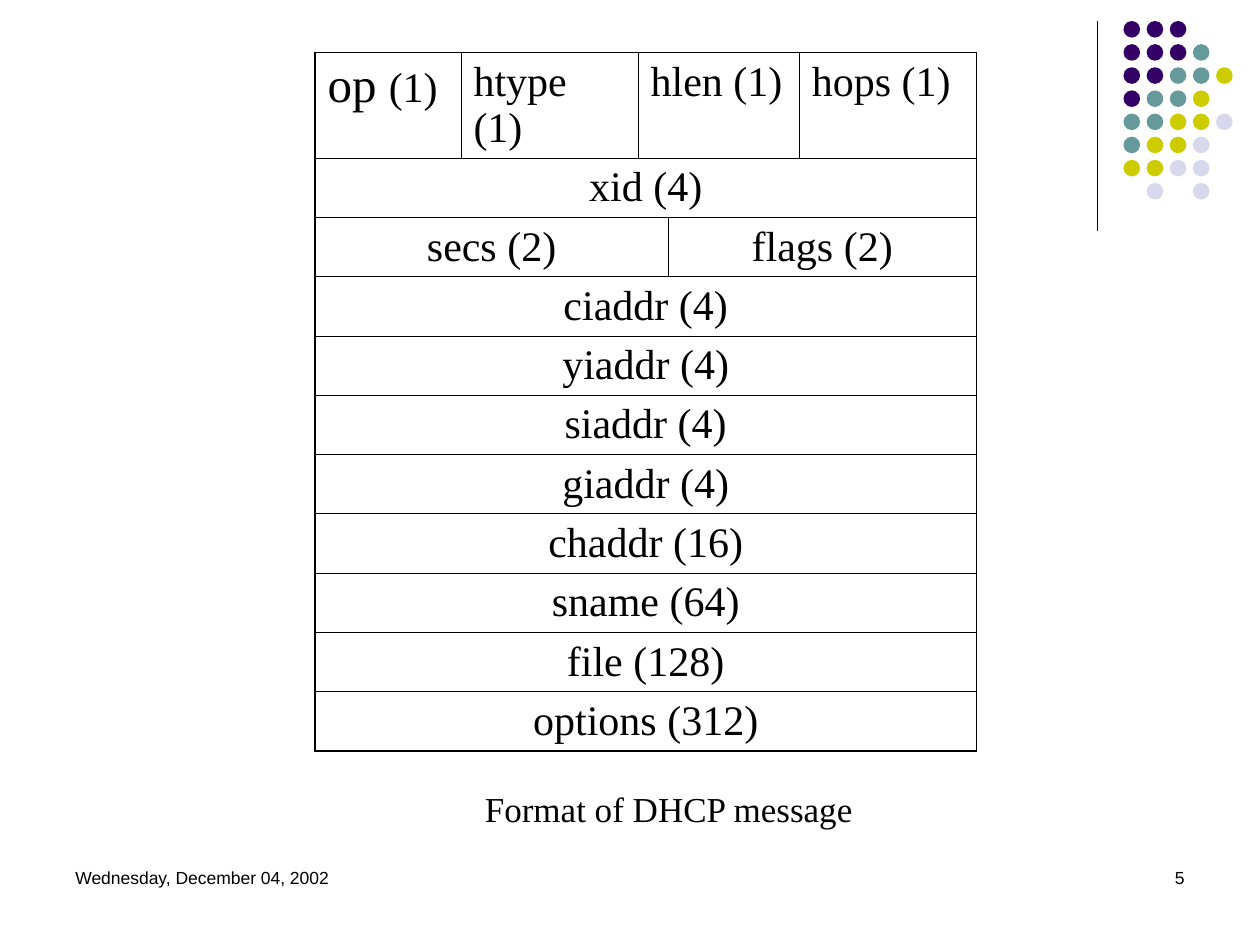
import pptx
import pptx.dml.color
import pptx.enum.shapes
import pptx.enum.text
import pptx.oxml
import pptx.oxml.ns
import pptx.util
import lxml.etree

Pt = pptx.util.Pt
ALIGN = pptx.enum.text.PP_ALIGN
BLACK = "000000"
SERIF = "Times New Roman"
THIN, THICK = 0.45, 1.08

COLUMN_WIDTHS = [83.4, 101.2, 17.1, 74.9, 101.2]
HEADER_HEIGHT, FIELD_HEIGHT = 60.4, 33.9
FIELD_ROWS = [
    [("op (1)", 1), ("htype (1)", 1), ("hlen (1)", 2), ("hops (1)", 1)],
    [("xid (4)", 5)],
    [("secs (2)", 3), ("flags (2)", 2)],
    [("ciaddr (4)", 5)],
    [("yiaddr (4)", 5)],
    [("siaddr (4)", 5)],
    [("giaddr (4)", 5)],
    [("chaddr (16)", 5)],
    [("sname (64)", 5)],
    [("file (128)", 5)],
    [("options (312)", 5)],
]

DOT_COLORS = {"P": "330066", "T": "669999", "Y": "CCCC00", "L": "D8D8EC"}
DOT_ROWS = ["PPP", "PPPT", "PPTTY", "PTTY", "TTYYL", "TYYL", "YYLL", ".L.L"]


def color(value):
    """Return the RGB color of a hex string."""
    return pptx.dml.color.RGBColor.from_string(value)


def add_run(paragraph, text, size, font):
    """Append a black run of text to a paragraph."""
    run = paragraph.add_run()
    run.text = text
    run.font.size = Pt(size)
    run.font.name = font
    run.font.color.rgb = color(BLACK)


def add_text(slide, box, text, size, font, alignment=ALIGN.LEFT, wrap=True):
    """Add a one-line text box."""
    shape = slide.shapes.add_textbox(*map(Pt, box))
    shape.text_frame.word_wrap = wrap
    if not wrap:
        shape.text_frame.auto_size = pptx.enum.text.MSO_AUTO_SIZE.SHAPE_TO_FIT_TEXT
    paragraph = shape.text_frame.paragraphs[0]
    paragraph.alignment = alignment
    add_run(paragraph, text, size, font)


def add_dot_ornament(slide, left, top, height):
    """Draw the vertical rule and the grid of dots to its right."""
    rule = slide.shapes.add_connector(
        pptx.enum.shapes.MSO_CONNECTOR.STRAIGHT,
        Pt(left), Pt(top), Pt(left), Pt(top + height))
    rule.line.color.rgb = color(BLACK)
    rule.line.width = Pt(0.75)
    lxml.etree.SubElement(rule._element.spPr, pptx.oxml.ns.qn("a:effectLst"))
    pitch, diameter, gap = 13.22, 9.5, 15
    for row, letters in enumerate(DOT_ROWS):
        for column, letter in enumerate(letters):
            if letter not in DOT_COLORS:
                continue
            dot = slide.shapes.add_shape(
                pptx.enum.shapes.MSO_SHAPE.OVAL,
                Pt(left + gap + column * pitch), Pt(top + row * pitch),
                Pt(diameter), Pt(diameter))
            dot.shadow.inherit = False
            dot.fill.solid()
            dot.fill.fore_color.rgb = color(DOT_COLORS[letter])
            dot.line.fill.background()


def set_borders(cell, widths):
    """Give a cell black borders, with widths keyed by side."""
    properties = cell._tc.get_or_add_tcPr()
    for side, width in widths.items():
        properties.append(pptx.oxml.parse_xml(
            f'<a:ln{side} {pptx.oxml.ns.nsdecls("a")} w="{Pt(width)}">'
            f'<a:solidFill><a:srgbClr val="{BLACK}"/></a:solidFill></a:ln{side}>'))


def fill_field(cell, text, is_header):
    """Write a field name and its size in bytes into a cell."""
    paragraph = cell.text_frame.paragraphs[0]
    paragraph.alignment = ALIGN.LEFT if is_header else ALIGN.CENTER
    if text == "op (1)":
        add_run(paragraph, "op ", 28, SERIF)
        add_run(paragraph, "(1)", 24, SERIF)
    else:
        add_run(paragraph, text, 24, SERIF)


def add_message_table(slide, left, top):
    """Build the table of message fields."""
    row_count, column_count = len(FIELD_ROWS), len(COLUMN_WIDTHS)
    heights = [HEADER_HEIGHT] + [FIELD_HEIGHT] * (row_count - 1)
    table = slide.shapes.add_table(
        row_count, column_count, Pt(left), Pt(top),
        Pt(sum(COLUMN_WIDTHS)), Pt(sum(heights))).table
    table.first_row = table.horz_banding = False
    for column, width in zip(table.columns, COLUMN_WIDTHS):
        column.width = Pt(width)
    for row, height in zip(table.rows, heights):
        row.height = Pt(height)
    for row, fields in enumerate(FIELD_ROWS):
        start = 0
        for text, span in fields:
            end = start + span
            widths = {
                "L": THICK if start == 0 else THIN,
                "R": THICK if end == column_count else THIN,
                "T": THICK if row == 0 else THIN,
                "B": THICK if row == row_count - 1 else THIN,
            }
            for column in range(start, end):
                set_borders(table.cell(row, column), widths)
                table.cell(row, column).fill.background()
            cell = table.cell(row, start)
            if span > 1:
                cell.merge(table.cell(row, end - 1))
            fill_field(cell, text, row == 0)
            start = end


def add_footer(slide, left, top, width):
    """Place the date at the left and the slide number at the right."""
    box_width, box_height = 168, 36
    add_text(slide, (left, top, box_width, box_height),
             "Wednesday, December 04, 2002", 10, "Arial")
    add_text(slide, (left + width - box_width, top, box_width, box_height),
             "5", 10, "Arial", ALIGN.RIGHT)


def main():
    """Build and save the slide."""
    presentation = pptx.Presentation()
    presentation.slide_width, presentation.slide_height = Pt(720), Pt(540)
    slide = presentation.slides.add_slide(presentation.slide_layouts[6])
    add_dot_ornament(slide, 627, 12, 120)
    add_message_table(slide, 180, 30)
    add_text(slide, (270, 446.4, 225, 31.5), "Format of DHCP message", 20, SERIF, wrap=False)
    add_footer(slide, 36, 492, 648)
    presentation.save("out.pptx")


if __name__ == "__main__":
    main()
